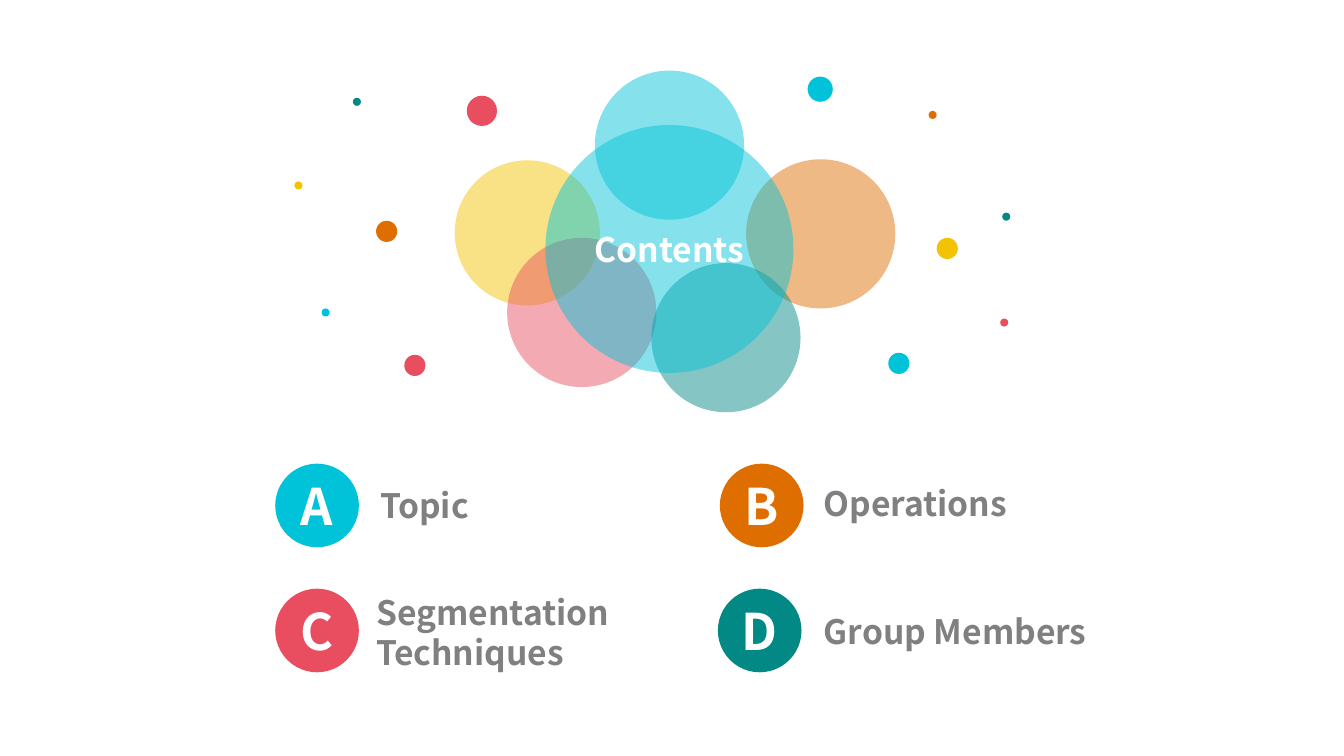
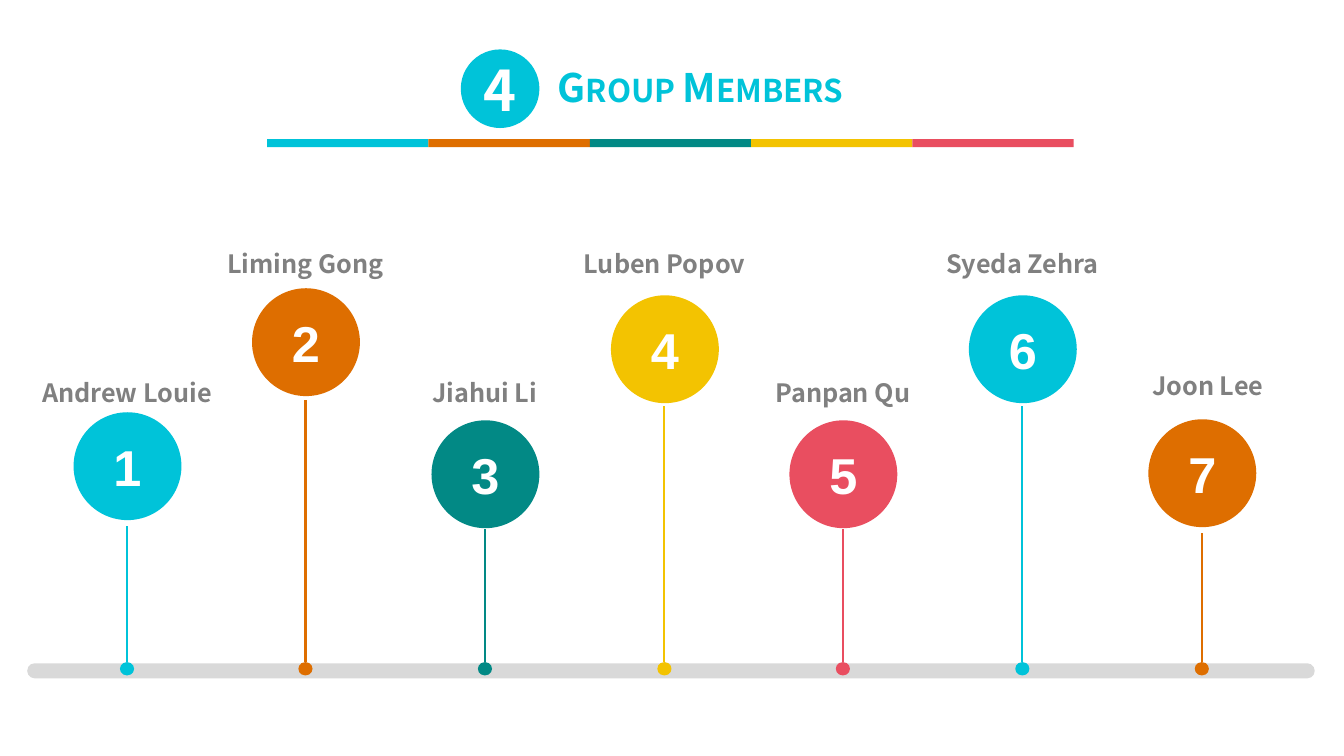
import collections
import dataclasses

import lxml.etree
import pptx
import pptx.dml.color
import pptx.enum.shapes
import pptx.enum.text
import pptx.oxml.ns
import pptx.util

EMU_PER_PX = 9144  # 100 px to the inch
SHAPES = pptx.enum.shapes.MSO_SHAPE
ANCHOR = pptx.enum.text.MSO_ANCHOR
ALIGN = pptx.enum.text.PP_ALIGN


@dataclasses.dataclass(frozen=True)
class Theme:
    cyan: str = "00C3D9"
    orange: str = "DE6E00"
    teal: str = "028985"
    yellow: str = "F3C301"
    red: str = "E94E60"
    grey: str = "808080"
    track: str = "D9D9D9"
    white: str = "FFFFFF"
    font: str = "Noto Sans CJK SC"
    number_font: str = "Arial"
    name_size: int = 18
    label_size: int = 24
    title_size: int = 28
    letter_size: int = 36
    section_size: int = 40
    line_width: float = 1.5
    bubble_opacity: int = 48


THEME = Theme()

Dot = collections.namedtuple("Dot", "left top size colour")
Topic = collections.namedtuple("Topic", "letter label colour left top label_left label_top")
Member = collections.namedtuple(
    "Member", "name colour circle_top stem_top name_top name_shift", defaults=(0,))

BUBBLES = (
    Dot(451, 159, 144, THEME.yellow),
    Dot(503, 236, 148, THEME.red),
    Dot(590, 70, 148, THEME.cyan),
    Dot(740, 158, 148, THEME.orange),
    Dot(646, 261, 148, THEME.teal),
)
CONTENTS_BUBBLE = Dot(541, 124, 246, THEME.cyan)

DOTS = (
    Dot(801, 76, 25, THEME.cyan),
    Dot(463, 95, 30, THEME.red),
    Dot(373, 219, 21, THEME.orange),
    Dot(350, 97, 8, THEME.teal),
    Dot(292, 180, 8, THEME.yellow),
    Dot(401, 352, 21, THEME.red),
    Dot(319, 306, 8, THEME.cyan),
    Dot(929, 236, 21, THEME.yellow),
    Dot(921, 110, 8, THEME.orange),
    Dot(994, 211, 8, THEME.teal),
    Dot(881, 350, 21, THEME.cyan),
    Dot(992, 316, 8, THEME.red),
)

TOPICS = (
    Topic("A", "Topic", THEME.cyan, 273, 460, 377, 476),
    Topic("B", "Operations", THEME.orange, 714, 460, 817, 474),
    Topic("C", "Segmentation Techniques", THEME.red, 273, 584, 373, 582),
    Topic("D", "Group Members", THEME.teal, 712, 584, 817, 601),
)

MEMBERS = (
    Member("Andrew Louie", THEME.cyan, 409, 522, 361),
    Member("Liming Gong", THEME.orange, 286, 397, 233),
    Member("Jiahui Li", THEME.teal, 417, 525, 361),
    Member("Luben Popov", THEME.yellow, 293, 403, 233),
    Member("Panpan Qu", THEME.red, 417, 525, 361),
    Member("Syeda Zehra", THEME.cyan, 293, 403, 233),
    Member("Joon Lee", THEME.orange, 416, 529, 354, 6),
)


def px(*lengths):
    return [pptx.util.Emu(length * EMU_PER_PX) for length in lengths]


def rgb(colour):
    return pptx.dml.color.RGBColor.from_string(colour)


def set_values(target, values):
    for name, value in values.items():
        setattr(target, name, value)


def write(box, text, size, colour, font=THEME.font, align=ALIGN.LEFT,
          anchor=ANCHOR.TOP, insets=(0, 0, 0, 0), spacing=1.0, small_caps=False):
    left, top, right, bottom = px(*insets)
    set_values(box.text_frame, {
        "word_wrap": True, "vertical_anchor": anchor,
        "margin_left": left, "margin_top": top,
        "margin_right": right, "margin_bottom": bottom,
    })
    para = box.text_frame.paragraphs[0]
    set_values(para, {"alignment": align, "line_spacing": spacing})
    span = para.add_run()
    span.text = text
    set_values(span.font, {"name": font, "size": pptx.util.Pt(size), "bold": True})
    span.font.color.rgb = rgb(colour)
    if small_caps:
        span._r.get_or_add_rPr().set("cap", "small")


def write_centred(shape, text, size, font=THEME.font):
    write(shape, text, size, THEME.white, font, ALIGN.CENTER, ANCHOR.MIDDLE)


def add_filled(parent, kind, left, top, width, height, colour, opacity=100):
    shape = parent.shapes.add_shape(kind, *px(left, top, width, height))
    shape.shadow.inherit = False
    shape.fill.solid()
    shape.fill.fore_color.rgb = rgb(colour)
    shape.line.fill.background()
    if opacity < 100:
        fill_colour = shape._element.spPr.find(".//" + pptx.oxml.ns.qn("a:srgbClr"))
        lxml.etree.SubElement(fill_colour, pptx.oxml.ns.qn("a:alpha"),
                              val=str(opacity * 1000))
    return shape


def add_circle(parent, dot, opacity=100):
    return add_filled(parent, SHAPES.OVAL, dot.left, dot.top, dot.size, dot.size,
                      dot.colour, opacity)


def add_pill(parent, left, top, width, height, colour):
    pill = add_filled(parent, SHAPES.ROUNDED_RECTANGLE, left, top, width, height, colour)
    pill.adjustments[0] = 0.5
    return pill


def add_text(parent, left, top, width, height, text, size, colour, **layout):
    box = parent.shapes.add_textbox(*px(left, top, width, height))
    write(box, text, size, colour, **layout)


def add_stem(parent, x, top, pin, pin_top, colour):
    """Draw a vertical line that ends on the top of its pin."""
    stem = parent.shapes.add_connector(
        pptx.enum.shapes.MSO_CONNECTOR.STRAIGHT, *px(x, top, x, pin_top))
    stem.end_connect(pin, 0)
    stem.line.color.rgb = rgb(colour)
    stem.line.width = pptx.util.Pt(THEME.line_width)
    lxml.etree.SubElement(stem._element.spPr, pptx.oxml.ns.qn("a:effectLst"))


def add_topic(page, topic):
    badge = add_circle(page, Dot(topic.left, topic.top, 83, topic.colour))
    write_centred(badge, topic.letter, THEME.letter_size)
    add_text(page, topic.label_left, topic.label_top, 350, 50, topic.label,
             THEME.label_size, THEME.grey, insets=(0, 5, 10, 5))


def add_section_title(page, number, title):
    heading = page.shapes.add_group_shape()
    badge = add_circle(heading, Dot(457, 49, 78, THEME.cyan))
    write_centred(badge, number, THEME.section_size)
    add_text(heading, 545, 59, 331, 54, title, THEME.title_size, THEME.cyan,
             insets=(8, 4, 8, 4), small_caps=True)
    band = page.shapes.add_group_shape()
    colours = (THEME.cyan, THEME.orange, THEME.teal, THEME.yellow, THEME.red)
    for index, colour in enumerate(colours):
        add_filled(band, SHAPES.RECTANGLE, 265 + 160 * index, 138, 160, 8, colour)


def add_member(page, number, member, x):
    """Add a numbered circle, its name and its stem, centred on x."""
    group = page.shapes.add_group_shape()
    circle = add_circle(group, Dot(x - 53, member.circle_top, 107, member.colour))
    write_centred(circle, str(number), THEME.letter_size, THEME.number_font)
    pin_top = 657
    pin = add_pill(group, x - 7, pin_top, 14, 13, member.colour)
    add_stem(group, x, member.stem_top, pin, pin_top, member.colour)
    add_text(group, x - 100 + member.name_shift, member.name_top, 200, 43, member.name,
             THEME.name_size, THEME.grey, align=ALIGN.CENTER,
             insets=(7, 4, 7, 4), spacing=1.3)


def build_contents(page):
    for topic in TOPICS:
        add_topic(page, topic)
    for dot in DOTS:
        add_circle(page, dot)
    for bubble in BUBBLES:
        add_circle(page, bubble, THEME.bubble_opacity)
    centre = add_circle(page, CONTENTS_BUBBLE, THEME.bubble_opacity)
    write_centred(centre, "Contents", THEME.label_size)


def build_members(page):
    add_section_title(page, "4", "Group Members")
    add_pill(page, 27, 658, 1277, 15, THEME.track)
    first_x, last_x = 126, 1192
    for index, member in enumerate(MEMBERS):
        x = first_x + (last_x - first_x) * index // (len(MEMBERS) - 1)
        add_member(page, index + 1, member, x)


def main():
    deck = pptx.Presentation()
    deck.slide_width, deck.slide_height = px(1333, 750)
    blank = deck.slide_layouts[6]
    for build in (build_contents, build_members):
        build(deck.slides.add_slide(blank))
    deck.save("out.pptx")


if __name__ == "__main__":
    main()
